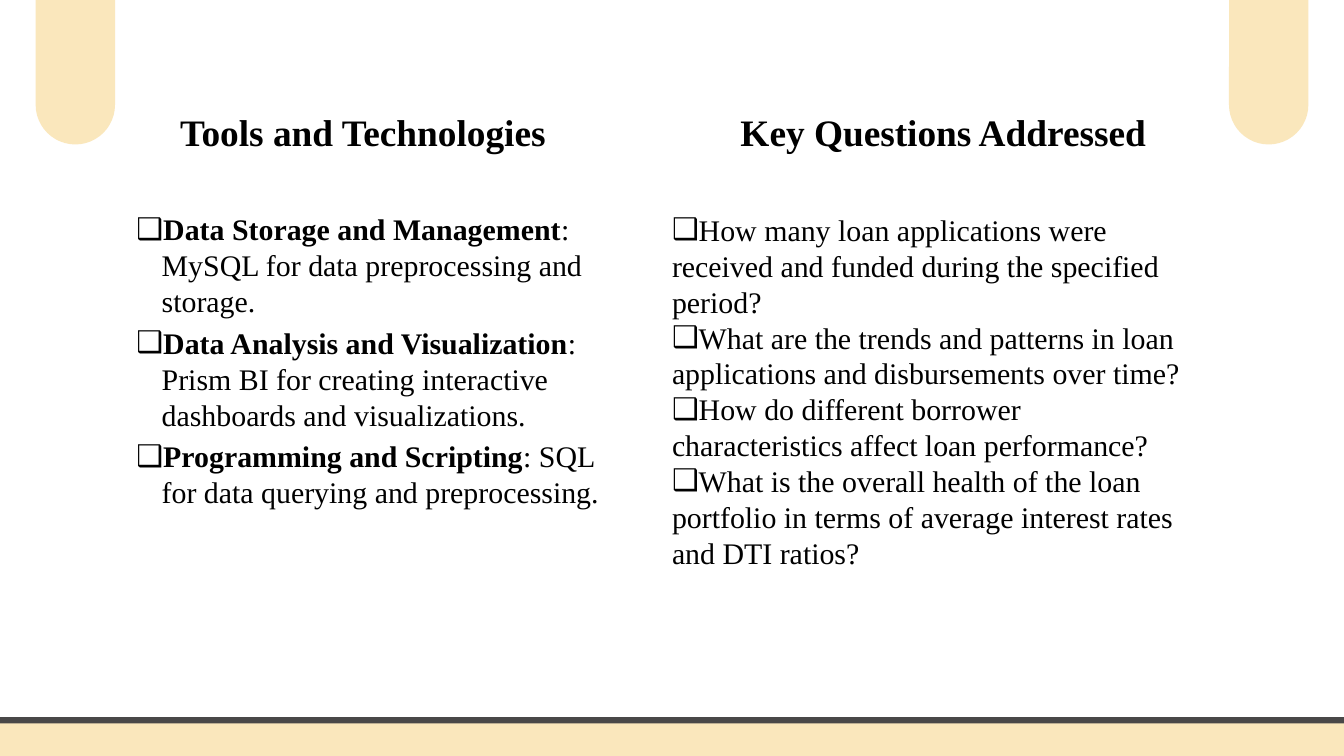
from lxml.etree import SubElement
from pptx import Presentation
from pptx.dml.color import RGBColor
from pptx.enum.shapes import MSO_SHAPE as Shape
from pptx.enum.text import MSO_ANCHOR as Anchor, MSO_AUTO_SIZE as AutoSize
from pptx.oxml.ns import qn
from pptx.util import Pt

WIDTH, HEIGHT = 1440, 810
COLORS = {"cream": "FAE7BC", "rule": "494848", "text": "000000"}

TOOLS = [
    ("Data Storage and Management",
     ": MySQL for data preprocessing and storage."),
    ("Data Analysis and Visualization",
     ": Prism BI for creating interactive dashboards and visualizations."),
    ("Programming and Scripting",
     ": SQL for data querying and preprocessing."),
]
QUESTIONS = [
    "How many loan applications were received and funded during the specified period?",
    "What are the trends and patterns in loan applications and disbursements over time?",
    "How do different borrower characteristics affect loan performance?",
    "What is the overall health of the loan portfolio in terms of average "
    "interest rates and DTI ratios?",
]


class ComparisonSlide:
    font = "Times New Roman"
    heading_size = 40
    body_size = 32
    body_leading = 38.4

    def __init__(self, slide):
        self.slide = slide

    def color(self, name):
        return RGBColor.from_string(COLORS[name])

    def rounded(self, box, rounding, line_width=0):
        shape = self.slide.shapes.add_shape(
            Shape.ROUNDED_RECTANGLE, *map(Pt, box))
        shape.adjustments[0] = rounding
        shape.shadow.inherit = False
        shape.fill.solid()
        shape.fill.fore_color.rgb = self.color("cream")
        if line_width:
            shape.line.color.rgb = self.color("rule")
            shape.line.width = Pt(line_width)
        else:
            shape.line.fill.background()

    def frame(self, index, box, anchor):
        """Place a layout placeholder and return its text frame."""
        holder = self.slide.placeholders[index]
        holder.left, holder.top, holder.width, holder.height = map(Pt, box)
        frame = holder.text_frame
        frame.word_wrap = True
        frame.auto_size = AutoSize.NONE
        frame.vertical_anchor = anchor
        return frame

    def style(self, paragraph, size, bold):
        font = paragraph.font
        font.name, font.size, font.bold = self.font, Pt(size), bold
        font.color.rgb = self.color("text")

    def heading(self, index, box, text):
        paragraph = self.frame(index, box, Anchor.BOTTOM).paragraphs[0]
        paragraph.text = text
        paragraph.line_spacing = 1.0
        paragraph.space_before = Pt(0)
        self.style(paragraph, self.heading_size, True)

    def bullets(self, index, box, items, hanging=0, gap=0):
        """Add bulleted items; a pair is a bold lead and its explanation."""
        frame = self.frame(index, box, Anchor.TOP)
        for number, item in enumerate(items):
            paragraph = frame.add_paragraph() if number else frame.paragraphs[0]
            paragraph.line_spacing = Pt(self.body_leading)
            paragraph.space_before = Pt(gap if number else 0)
            paragraph.space_after = Pt(0)
            properties = paragraph._p.get_or_add_pPr()
            properties.set("marL", str(Pt(hanging)))
            properties.set("indent", str(-Pt(hanging)))
            SubElement(properties, qn("a:buChar"), char="❑")
            self.style(paragraph, self.body_size, False)
            if isinstance(item, str):
                paragraph.text = item
            else:
                lead, explanation = item
                run = paragraph.add_run()
                run.text, run.font.bold = lead, True
                paragraph.add_run().text = explanation


def main():
    deck = Presentation()
    deck.slide_width, deck.slide_height = Pt(WIDTH), Pt(HEIGHT)
    slide = deck.slides.add_slide(deck.slide_layouts.get_by_name("Comparison"))
    unused_title = slide.shapes.title._element
    unused_title.getparent().remove(unused_title)

    page = ComparisonSlide(slide)
    pill_margin, pill_width = 38.2, 85
    for left in (pill_margin, WIDTH - pill_margin - pill_width):
        page.rounded((left, -77.8, pill_width, 232.6), 0.5)
    page.rounded((-41.8, 771.8, WIDTH + 2 * 41.8, 64.8), 0.1, 6.75)

    page.heading(1, (185.8, 118, 414, 50.4), "Tools and Technologies")
    page.heading(3, (786.2, 118, 456, 50.4), "Key Questions Addressed")
    page.bullets(2, (139, 222.5, 516, 311), TOOLS, hanging=27, gap=6.4)
    page.bullets(4, (712.8, 223.2, 576, 438.5), QUESTIONS)
    deck.save("out.pptx")


if __name__ == "__main__":
    main()
